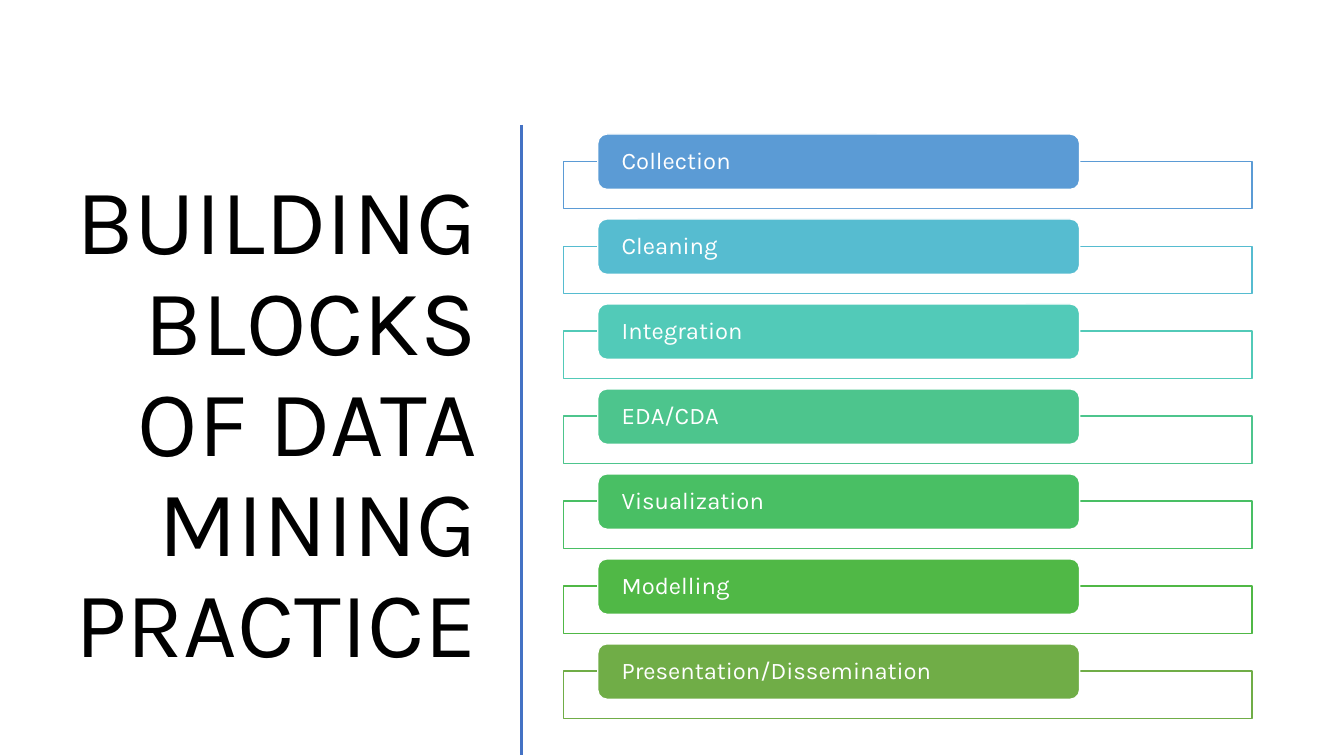
from dataclasses import dataclass

from lxml.etree import SubElement
from pptx import Presentation
from pptx.dml.color import RGBColor
from pptx.enum.shapes import MSO_CONNECTOR, MSO_SHAPE
from pptx.enum.text import MSO_ANCHOR, PP_ALIGN
from pptx.oxml.ns import qn
from pptx.shapes.autoshape import Shape
from pptx.slide import Slide
from pptx.util import Inches, Pt

WIDTH, HEIGHT = Inches(13.33), Inches(7.5)
FONT = "Karla"
WHITE = "FFFFFF"
STEP = 11.24  # row pitch, percent of slide height


@dataclass
class Box:
    """Left, top, width and height in percent of the slide."""
    left: float
    top: float
    width: float
    height: float

    def down(self, rows: int) -> "Box":
        return Box(self.left, self.top + rows * STEP, self.width, self.height)

    def place(self) -> tuple[int, int, int, int]:
        return (across(self.left), along(self.top),
                across(self.width), along(self.height))


@dataclass
class Block:
    name: str
    color: str


TITLE = Box(3.9, 15.6, 32.32, 81.47)
FRAME = Box(41.93, 21.33, 51.22, 6.27)
LABEL = Box(44.48, 17.73, 35.85, 7.33)

BLOCKS = [
    Block("Collection", "5B9BD5"),
    Block("Cleaning", "56BCD0"),
    Block("Integration", "52CAB8"),
    Block("EDA/CDA", "4DC58D"),
    Block("Visualization", "49BF64"),
    Block("Modelling", "50B846"),
    Block("Presentation/Dissemination", "70AD47"),
]


def across(share: float) -> int:
    return round(WIDTH * share / 100)


def along(share: float) -> int:
    return round(HEIGHT * share / 100)


def paint(target, color: str) -> None:
    """Give a fill or line one solid colour."""
    target.solid()
    target.fore_color.rgb = RGBColor.from_string(color)


def write(shape: Shape, text: str, size: float, color: str,
          align: PP_ALIGN) -> None:
    frame = shape.text_frame
    frame.word_wrap = True
    frame.vertical_anchor = MSO_ANCHOR.MIDDLE
    line = frame.paragraphs[0]
    line.text = text
    line.alignment = align
    line.line_spacing = 0.9
    line.font.name = FONT
    line.font.size = Pt(size)
    paint(line.font.fill, color)


def panel(slide: Slide, kind: MSO_SHAPE, box: Box, fill: str,
          edge: str) -> Shape:
    shape = slide.shapes.add_shape(kind, *box.place())
    shape.shadow.inherit = False
    paint(shape.fill, fill)
    paint(shape.line.fill, edge)
    shape.line.width = Pt(1)
    return shape


def fade(shape: Shape, percent: int) -> None:
    """Set the opacity of a solid fill."""
    tint = shape.fill._xPr.find(qn("a:solidFill"))[0]
    SubElement(tint, qn("a:alpha")).set("val", str(percent * 1000))


def draw(slide: Slide, block: Block, row: int) -> None:
    frame = panel(slide, MSO_SHAPE.RECTANGLE, FRAME.down(row),
                  WHITE, block.color)
    fade(frame, 90)
    label = panel(slide, MSO_SHAPE.ROUNDED_RECTANGLE, LABEL.down(row),
                  block.color, WHITE)
    text = label.text_frame
    text.margin_left = text.margin_right = Inches(0.21)
    text.margin_top = text.margin_bottom = 0
    write(label, block.name, 17, WHITE, PP_ALIGN.LEFT)


def divide(slide: Slide) -> None:
    """Draw the rule between title and blocks."""
    rule = slide.shapes.add_connector(
        MSO_CONNECTOR.STRAIGHT, across(38.78), along(16.53),
        across(38.78), along(99.87))
    paint(rule.line.fill, "4472C4")
    rule.line.width = Pt(2)
    SubElement(rule._element.spPr, qn("a:effectLst"))


def main() -> None:
    deck = Presentation()
    deck.slide_width, deck.slide_height = WIDTH, HEIGHT
    slide = deck.slides.add_slide(deck.slide_layouts[6])
    title = slide.shapes.add_textbox(*TITLE.place())
    write(title, "BUILDING BLOCKS OF DATA MINING PRACTICE", 66.6,
          "000000", PP_ALIGN.RIGHT)
    divide(slide)
    for row, block in enumerate(BLOCKS):
        draw(slide, block, row)
    deck.save("out.pptx")


if __name__ == "__main__":
    main()
